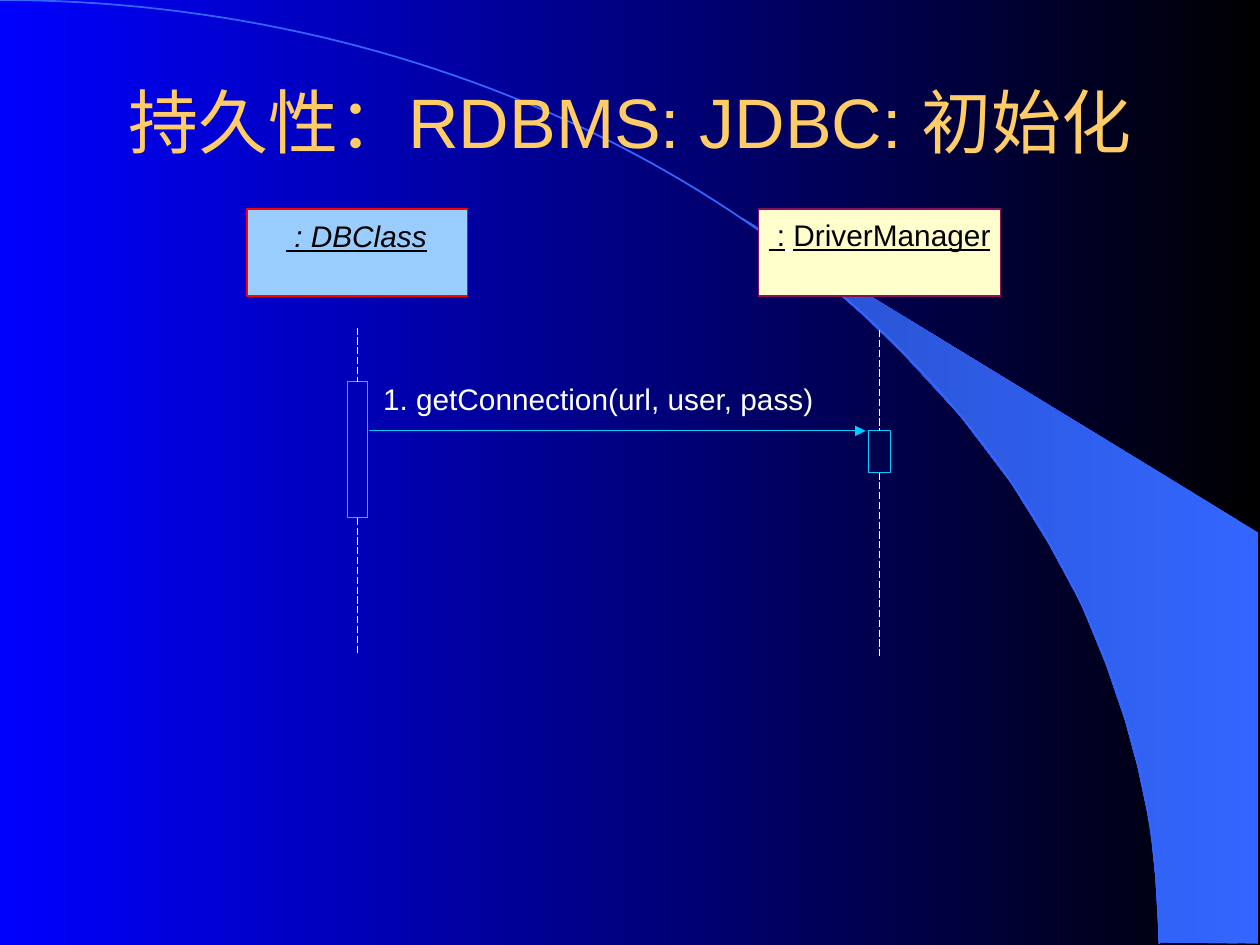
from math import cos, pi, sin

from lxml.etree import SubElement
from pptx import Presentation
from pptx.dml.color import RGBColor
from pptx.enum.dml import MSO_LINE
from pptx.enum.shapes import MSO_CONNECTOR, MSO_SHAPE
from pptx.enum.text import MSO_ANCHOR, MSO_AUTO_SIZE, PP_ALIGN
from pptx.oxml.ns import qn
from pptx.util import Pt

EMU_PER_PX = 9144
FONT = "Arial"
BLACK = RGBColor(0, 0, 0)
WHITE = RGBColor(0xFF, 0xFF, 0xFF)
BLUE = RGBColor(0, 0, 0xFF)
SWEEP = RGBColor(0x33, 0x66, 0xFF)
SWEEP_DARK = RGBColor(0x28, 0x51, 0xCC)
GOLD = RGBColor(0xFF, 0xCC, 0x66)
SKY = RGBColor(0x99, 0xCC, 0xFF)
RED = RGBColor(0xFF, 0, 0)
CREAM = RGBColor(0xFF, 0xFF, 0xCC)
PLUM = RGBColor(0x8A, 0x0E, 0x5E)
CYAN = RGBColor(0, 0xCC, 0xFF)

SWEEP_EDGE = [
    (920, 748), (999, 749), (999, 423), (589, 173), (624, 199), (653, 222),
    (685, 250), (716, 280), (762, 330), (803, 384), (832, 431), (858, 479),
    (878, 528), (893, 572), (903, 609), (913, 656), (917, 696),
]


def px(length):
    """Turn px into EMU."""
    return round(length * EMU_PER_PX)


class SequencePage:
    """Style and current slide of a sequence diagram."""

    def __init__(self, deck):
        self.page = deck.slides.add_slide(deck.slide_layouts[6])
        self.shapes = self.page.shapes

    def gradient(self, fill, first, last):
        fill.gradient()
        fill.gradient_angle = 180
        for stop, color in zip(fill.gradient_stops, (first, last)):
            stop.color.rgb = color

    def outline(self, points, close):
        (left, top), *rest = [(px(x), px(y)) for x, y in points]
        builder = self.shapes.build_freeform(left, top)
        builder.add_line_segments(rest, close=close)
        shape = builder.convert_to_shape()
        shape.shadow.inherit = False
        return shape

    def sweep(self, points):
        shape = self.outline(points, True)
        self.gradient(shape.fill, SWEEP, SWEEP_DARK)
        shape.line.fill.background()

    def arc(self, width, height, steps=90):
        angles = [pi / 2 * step / steps for step in range(steps + 1)]
        points = [(width * sin(a), height * (1 - cos(a))) for a in angles]
        shape = self.outline(points, False)
        shape.fill.background()
        shape.line.color.rgb = SWEEP
        shape.line.width = Pt(1)

    def rect(self, at, line, width, fill=None):
        box = self.shapes.add_shape(MSO_SHAPE.RECTANGLE, *map(px, at))
        box.shadow.inherit = False
        if fill is None:
            box.fill.background()
        else:
            box.fill.solid()
            box.fill.fore_color.rgb = fill
        box.line.color.rgb = line
        box.line.width = Pt(width)
        return box

    def line(self, start, end, color):
        link = self.shapes.add_connector(
            MSO_CONNECTOR.STRAIGHT, *map(px, start + end))
        link.line.color.rgb = color
        link.line.width = Pt(0.5)
        SubElement(link._element.spPr, qn("a:effectLst"))
        return link

    def message(self, start, end):
        link = self.line(start, end, CYAN)
        SubElement(link.line._get_or_add_ln(), qn("a:tailEnd"), type="triangle")

    def lifeline(self, x, top, bottom, bar_at):
        bar = self.rect(bar_at, CYAN, 0.5)
        bar_top, bar_bottom = bar_at[1], bar_at[1] + bar_at[3]
        above = self.line((x, top), (x, bar_top), WHITE)
        above.end_connect(bar, 0)
        below = self.line((x, bar_bottom), (x, bottom), WHITE)
        below.begin_connect(bar, 2)
        for link in (above, below):
            link.line.dash_style = MSO_LINE.LONG_DASH

    def text(self, at, spans, size=17, italic=False, underline=False, wrap=False):
        box = self.shapes.add_textbox(*map(px, at))
        frame = box.text_frame
        frame.margin_left = frame.margin_right = 0
        frame.margin_top = frame.margin_bottom = 0
        frame.word_wrap = wrap
        frame.auto_size = MSO_AUTO_SIZE.SHAPE_TO_FIT_TEXT
        para = frame.paragraphs[0]
        para.font.name = FONT
        para.font.size = Pt(size)
        para.font.italic = italic
        para.font.underline = underline
        for words, color in spans:
            span = para.add_run()
            span.text = words
            span.font.color.rgb = color
        return frame

    def title(self, at, words):
        frame = self.text(at, [(words, GOLD)], size=40, wrap=True)
        frame.auto_size = MSO_AUTO_SIZE.NONE
        frame.vertical_anchor = MSO_ANCHOR.MIDDLE
        frame.paragraphs[0].alignment = PP_ALIGN.CENTER


def main():
    deck = Presentation()
    deck.slide_width, deck.slide_height = px(1000), px(750)
    diagram = SequencePage(deck)
    diagram.gradient(diagram.page.background.fill, BLACK, BLUE)
    diagram.sweep(SWEEP_EDGE)
    diagram.arc(920, 749)
    diagram.title((75, 67, 850, 58), "持久性：RDBMS: JDBC: 初始化")

    diagram.rect((196, 166, 175, 69), RED, 0, SKY)
    diagram.text((227, 173, 112, 28), [(" : DBClass", BLACK)],
                 italic=True, underline=True)
    diagram.lifeline(284, 260, 520, (276, 303, 16, 108))

    diagram.rect((602, 166, 192, 69), PLUM, 0, CREAM)
    diagram.text((610, 172, 178, 28),
                 [(" :", BLACK), (" ", WHITE), ("DriverManager", BLACK)],
                 underline=True, wrap=True)
    diagram.lifeline(698, 262, 523, (689, 342, 18, 33))

    diagram.message((293, 342), (687, 342))
    diagram.text((304, 302, 343, 28),
                 [("1. getConnection(url, user, pass)", WHITE)])
    deck.save("out.pptx")


if __name__ == "__main__":
    main()
